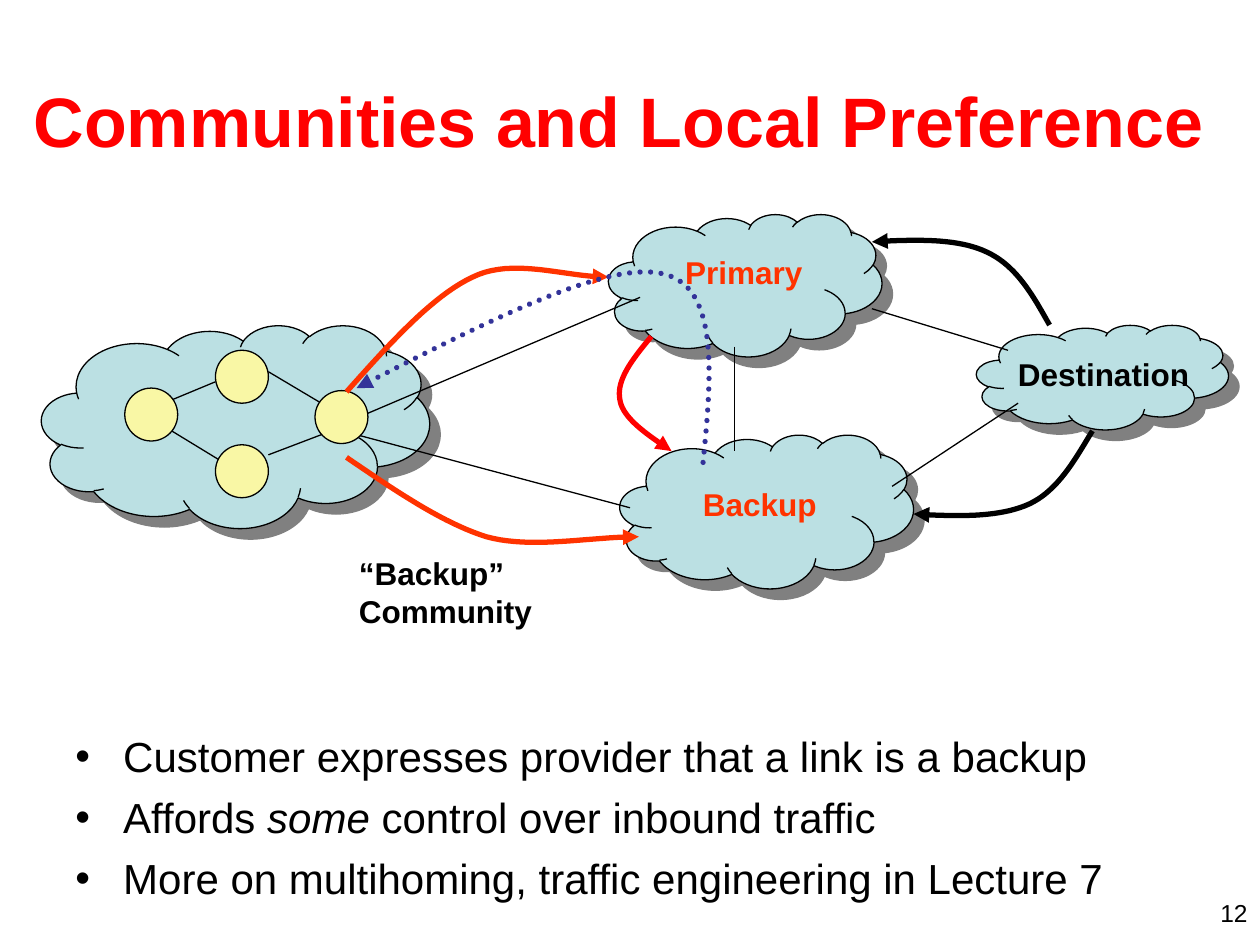
"""Build the slide on communities and local preference."""
from lxml.etree import SubElement as Sub
from pptx import Presentation
from pptx.dml.color import RGBColor
from pptx.enum.dml import MSO_LINE
from pptx.enum.shapes import MSO_CONNECTOR as Link, MSO_SHAPE as Shape
from pptx.enum.text import MSO_ANCHOR as Anchor, PP_ALIGN as Align
from pptx.oxml.ns import qn
from pptx.util import Inches, Pt

BLACK = RGBColor(0, 0, 0)
RED = RGBColor(0xFF, 0, 0)
ORANGE = RGBColor(0xFF, 0x33, 0)
NAVY = RGBColor(0x33, 0x33, 0x99)
TEAL = RGBColor(0xBB, 0xE0, 0xE3)
CREAM = RGBColor(0xF9, 0xF7, 0xA5)

deck = Presentation()
deck.slide_width, deck.slide_height = Inches(10), Inches(7.5)
slide = deck.slides.add_slide(deck.slide_layouts[6])
shapes = slide.shapes


def add_text(spot, lines, size, color=BLACK, bold=False, wrap=True):
    box = shapes.add_textbox(*map(Inches, spot))
    frame = box.text_frame
    frame.word_wrap = wrap
    for i, runs in enumerate(lines):
        para = frame.paragraphs[0] if i == 0 else frame.add_paragraph()
        for words, slant in runs:
            run = para.add_run()
            run.text = words
            font = run.font
            font.name, font.size = "Arial", Pt(size)
            font.bold, font.italic = bold, slant
            font.color.rgb = color
    return frame


def add_solid(kind, spot, fill):
    shape = shapes.add_shape(kind, *map(Inches, spot))
    shape.shadow.inherit = False
    shape.fill.solid()
    shape.fill.fore_color.rgb = fill
    shape.line.color.rgb = BLACK
    shape.line.width = Pt(0.75)
    return shape


title = add_text((0.17, 0.32, 9.58, 1.25), [[("Communities and Local Preference", False)]],
                 40, RED, True)
title.vertical_anchor = Anchor.MIDDLE

points = [
    [("Customer expresses provider that a link is a backup", False)],
    [("Affords ", False), ("some", True), (" control over inbound traffic", False)],
    [("More on multihoming, traffic engineering in Lecture 7", False)],
]
body = add_text((0.5, 5.75, 9, 1.58), points, 24)
for i, para in enumerate(body.paragraphs):
    props = para._p.get_or_add_pPr()
    props.set("marL", str(Inches(0.38)))
    props.set("indent", str(-Inches(0.38)))
    Sub(props, qn("a:buFont"), typeface="Arial")
    Sub(props, qn("a:buChar"), char="•")
    if i:
        para.space_before = Pt(6)

clouds = [(0.33, 2.58, 3.08, 1.61), (4.83, 1.7, 2.17, 1.13),
          (4.92, 3.45, 2.33, 1.22), (7.75, 2.58, 2, 0.83)]
for spot in clouds:
    cloud = add_solid(Shape.CLOUD, spot, TEAL)
    effect = cloud._element.spPr.find(qn("a:effectLst"))
    shade = Sub(effect, qn("a:outerShdw"), dist=str(Pt(8.5)), dir="2700000",
                algn="ctr", rotWithShape="0")
    Sub(shade, qn("a:srgbClr"), val="808080")

links = [
    (1.3, 3.2, 1.71, 3.03), (2.13, 3.61, 2.55, 3.45),
    (1.33, 3.4, 1.74, 3.65), (2.13, 2.95, 2.55, 3.2),
    (2.92, 3.28, 5.08, 2.36), (2.83, 3.45, 5, 4.03),
    (6.92, 2.45, 8, 2.78), (7.08, 3.86, 8.08, 3.2),
    (5.83, 2.75, 5.83, 3.58),
]
for ends in links:
    link = shapes.add_connector(Link.STRAIGHT, *map(Inches, ends))
    link.line.color.rgb = BLACK
    link.line.width = Pt(0.75)
    Sub(link._element.spPr, qn("a:effectLst"))

for left, top in [(1.71, 2.78), (1.71, 3.53), (2.5, 3.1), (0.99, 3.08)]:
    add_solid(Shape.OVAL, (left, top, 0.42, 0.42), CREAM)

labels = [
    ("Primary", (5.34, 1.96, 1.13, 0.4), ORANGE, False),
    ("Backup", (5.48, 3.8, 1.1, 0.4), ORANGE, False),
    ("“Backup” Community", (2.75, 4.35, 2.5, 0.7), BLACK, True),
    ("Destination", (7.98, 2.77, 1.56, 0.4), BLACK, False),
]
for words, spot, color, wrap in labels:
    add_text(spot, [[(words, False)]], 18, color, True, wrap)

curves = [
    (ORANGE, [(2.75, 3.11), (3.09, 2.73), (3.43, 2.35), (3.75, 2.2),
              (4.07, 2.04), (4.49, 2.2), (4.83, 2.2)]),
    (ORANGE, [(2.75, 3.63), (3.13, 3.89), (3.51, 4.15), (3.86, 4.26),
              (4.22, 4.36), (4.68, 4.26), (5.07, 4.26)]),
    (BLACK, [(8.33, 2.58), (8.2, 2.35), (8.07, 2.11), (7.83, 2),
             (7.6, 1.89), (7.26, 1.9), (6.92, 1.92)]),
    (BLACK, [(8.67, 3.42), (8.53, 3.65), (8.4, 3.89), (8.17, 4),
             (7.93, 4.11), (7.59, 4.1), (7.25, 4.08)]),
    (RED, [(5.17, 2.67), (5.03, 2.84), (4.89, 3.01), (4.92, 3.17),
           (4.94, 3.32), (5.14, 3.45), (5.33, 3.58)]),
    (NAVY, [(5.58, 3.67), (5.65, 2.97), (5.71, 2.26), (5.25, 2.17),
            (4.79, 2.07), (3.81, 2.58), (2.83, 3.08)]),
]
STEPS = 20
for color, knots in curves:
    trail = []
    for k in (0, 3):
        for step in range(1, STEPS + 1):
            t = step / STEPS
            mix = ((1 - t) ** 3, 3 * t * (1 - t) ** 2, 3 * t * t * (1 - t), t ** 3)
            trail.append([Inches(sum(m * p[axis] for m, p in zip(mix, knots[k:k + 4])))
                          for axis in (0, 1)])
    pen = shapes.build_freeform(*map(Inches, knots[0]))
    pen.add_line_segments(trail, close=False)
    curve = pen.convert_to_shape()
    curve.shadow.inherit = False
    curve.fill.background()
    curve.line.color.rgb = color
    curve.line.width = Pt(3)
    stroke = curve.line._get_or_add_ln()
    if color == NAVY:
        curve.line.dash_style = MSO_LINE.ROUND_DOT
        stroke.set("cap", "rnd")
    Sub(stroke, qn("a:round"))
    Sub(stroke, qn("a:tailEnd"), type="triangle")

number = add_text((7.67, 7.08, 2.33, 0.25), [[("12", False)]], 14)
number.paragraphs[0].alignment = Align.RIGHT

deck.save("out.pptx")
